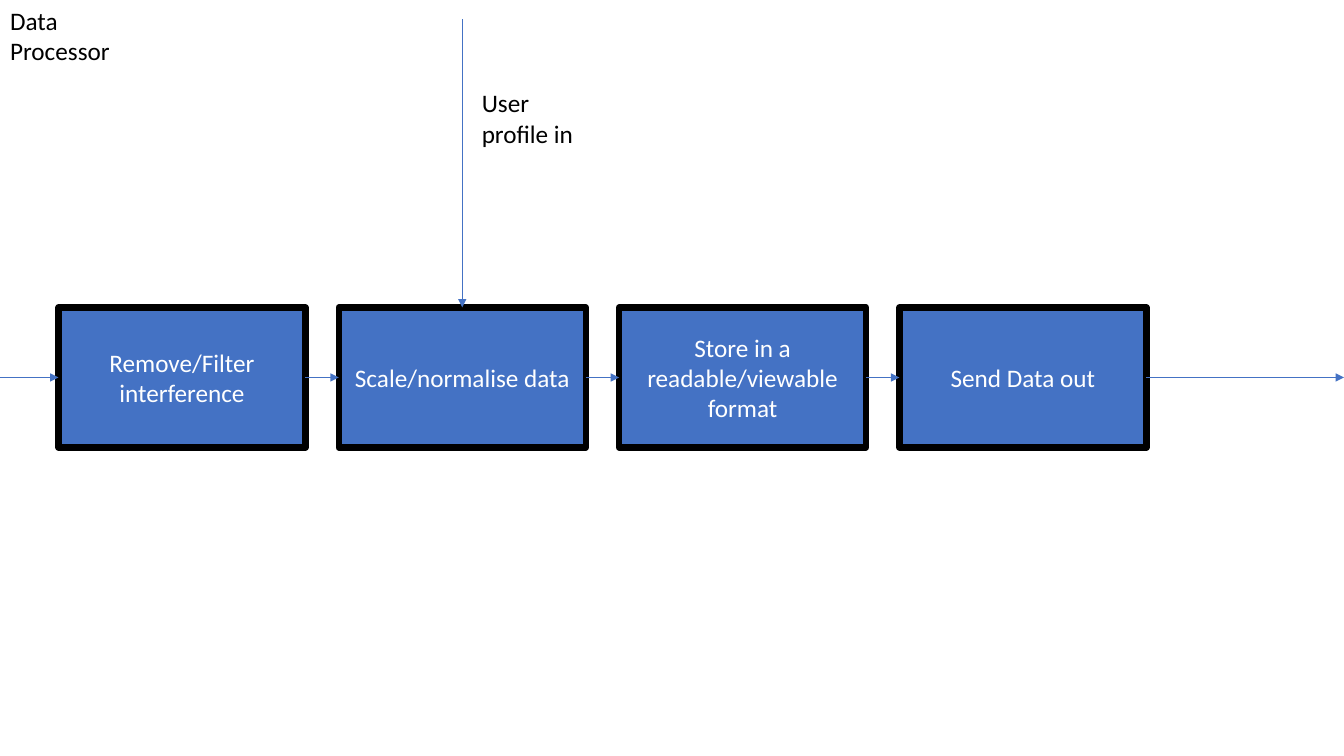
from pptx import Presentation
from pptx import util as u
from pptx.dml.color import RGBColor
from pptx.enum import shapes, text
from pptx.oxml.ns import qn
from lxml import etree

SLIDE_W, SLIDE_H = 13.33, 7.5
BLUE, BLACK, WHITE = "4472C4", "000000", "FFFFFF"
STEPS = ["Remove/Filter interference", "Scale/normalise data",
         "Store in a readable/viewable format", "Send Data out"]
STEP_LEFT, STEP_TOP, STEP_W, STEP_H, PITCH = 0.58, 3.05, 2.45, 1.39, 2.78


def color(value):
    return RGBColor.from_string(value)


def write(sp, words, ink, align, anchor):
    tf = sp.text_frame
    tf.word_wrap = True
    tf.vertical_anchor = anchor
    p = tf.paragraphs[0]
    p.alignment = align
    p.line_spacing = 1.0
    r = p.add_run()
    r.text = words
    r.font.name = "Calibri"
    r.font.size = u.Pt(18)
    r.font.color.rgb = color(ink)


def label(sp, words):
    write(sp, words, BLACK, text.PP_ALIGN.LEFT, text.MSO_ANCHOR.TOP)
    sp.text_frame.auto_size = text.MSO_AUTO_SIZE.SHAPE_TO_FIT_TEXT


def step_box(s, left, words):
    sp = s.shapes.add_shape(shapes.MSO_SHAPE.RECTANGLE, u.Inches(left),
                            u.Inches(STEP_TOP), u.Inches(STEP_W), u.Inches(STEP_H))
    sp.shadow.inherit = False
    sp.fill.solid()
    sp.fill.fore_color.rgb = color(BLUE)
    sp.line.color.rgb = color(BLACK)
    sp.line.width = u.Pt(4.5)
    write(sp, words, WHITE, text.PP_ALIGN.CENTER, text.MSO_ANCHOR.MIDDLE)


def arrow(s, x1, y1, x2, y2):
    c = s.shapes.add_connector(shapes.MSO_CONNECTOR.STRAIGHT, u.Inches(x1),
                               u.Inches(y1), u.Inches(x2), u.Inches(y2))
    c.line.color.rgb = color(BLUE)
    c.line.width = u.Pt(0.5)
    etree.SubElement(c.line._get_or_add_ln(), qn("a:tailEnd"), type="triangle")
    etree.SubElement(c._element.spPr, qn("a:effectLst"))


def main():
    prs = Presentation()
    prs.slide_width, prs.slide_height = u.Inches(SLIDE_W), u.Inches(SLIDE_H)
    s = prs.slides.add_slide(prs.slide_layouts[5])

    # Title in the top left corner
    title = s.shapes.title
    title.left, title.top = u.Inches(0), u.Inches(0)
    title.width, title.height = u.Inches(1.29), u.Inches(0.71)
    label(title, "Data Processor")

    # Processing steps
    lefts = [STEP_LEFT + i * PITCH for i in range(len(STEPS))]
    for left, words in zip(lefts, STEPS):
        step_box(s, left, words)

    # Flow from the left edge through every step to the right edge
    middle = STEP_TOP + STEP_H / 2
    starts = [0] + [left + STEP_W for left in lefts]
    for start, end in zip(starts, lefts + [SLIDE_W]):
        arrow(s, start, middle, end, middle)

    # User profile entering the scaling step
    profile_x = lefts[1] + STEP_W / 2
    arrow(s, profile_x, 0.19, profile_x, STEP_TOP)
    profile = s.shapes.add_textbox(u.Inches(4.68), u.Inches(0.82),
                                   u.Inches(1.19), u.Inches(0.71))
    label(profile, "User profile in")

    prs.save("out.pptx")


main()
